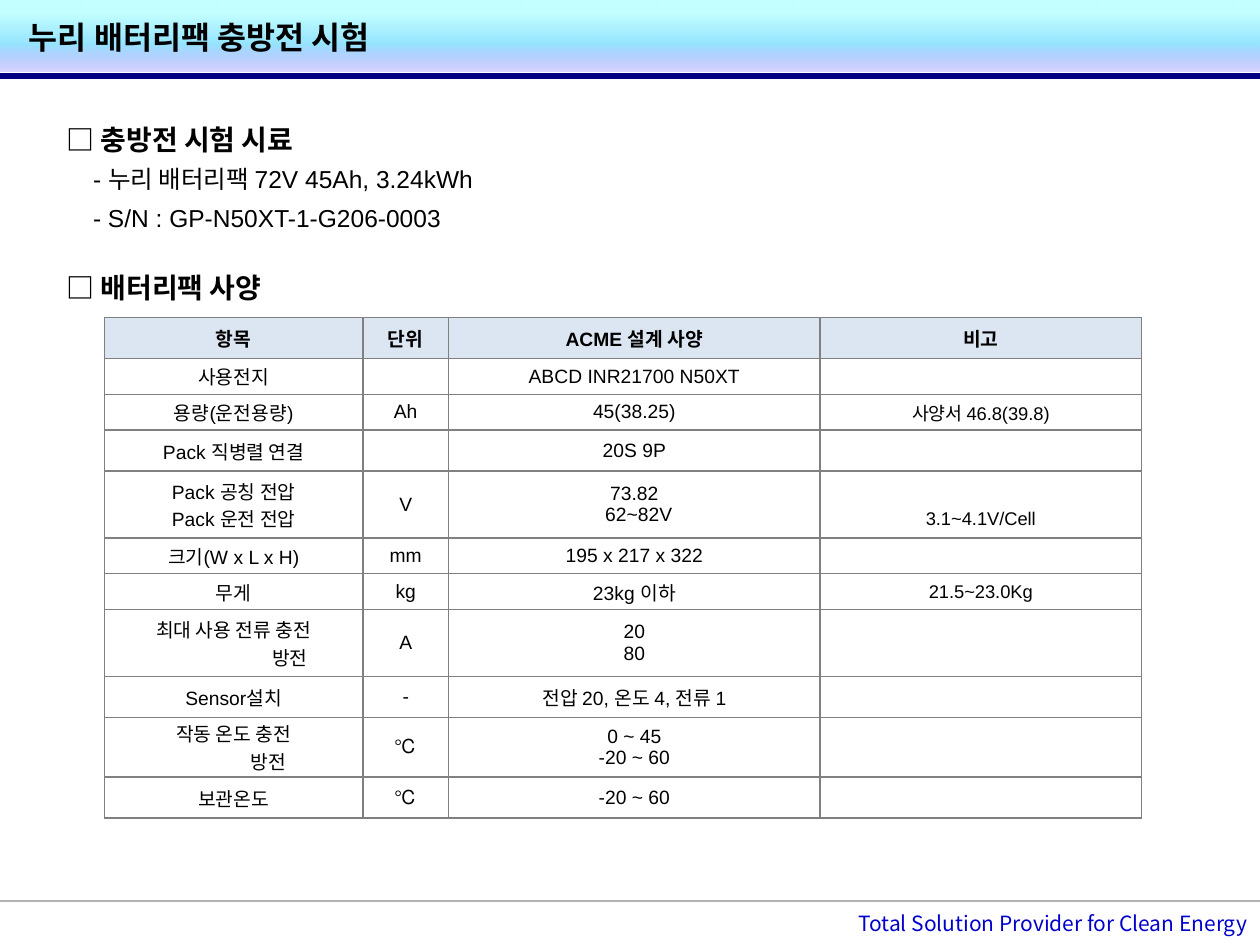
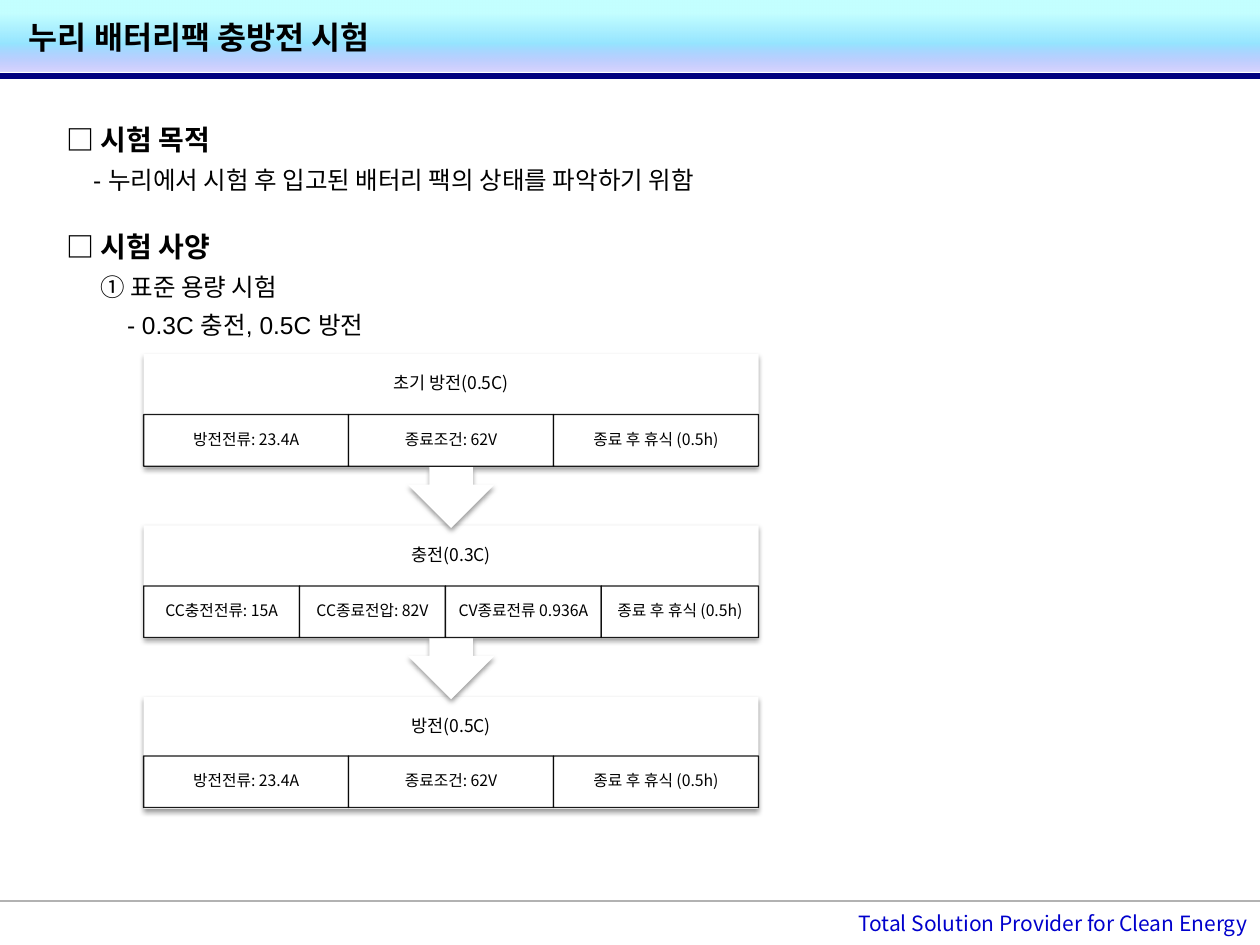
from dataclasses import dataclass
from itertools import accumulate

from lxml.etree import SubElement
from pptx import Presentation
from pptx.dml.color import RGBColor
from pptx.enum.shapes import MSO_CONNECTOR as Connector, MSO_SHAPE as Shape
from pptx.enum.text import MSO_ANCHOR as Anchor, PP_ALIGN as Align
from pptx.oxml import parse_xml
from pptx.oxml.ns import nsdecls, qn
from pptx.util import Emu, Pt

COLUMNS, ROWS = 100, 75
UNIT = 91440
KOREAN, LATIN = "Noto Sans CJK KR", "Arial"
BLACK, WHITE, NAVY, BLUE = "000000", "FFFFFF", "000080", "0000CC"
RULE_GRAY, BORDER_GRAY, HEADER_FILL = "B2B2B2", "808080", "DCE6F2"
BAND_STOPS = [(19, "91FFFF", 53), (61, "33CCFF", 51), (100, "3F30FC", 20)]
TITLE = "누리 배터리팩 충방전 시험"
SLOGAN = "Total Solution Provider for Clean Energy"

SPEC_COLUMNS = [20.5, 6.8, 29.5, 25.5]
SPEC_ROWS = [
    (3.25, ["항목", "단위", "ACME 설계 사양", "비고"]),
    (2.85, ["사용전지", "", "ABCD INR21700 N50XT", ""]),
    (2.85, ["용량(운전용량)", "Ah", "45(38.25)", "사양서 46.8(39.8)"]),
    (3.25, ["Pack 직병렬 연결", "", "20S 9P", ""]),
    (5.3, ["Pack 공칭 전압\nPack 운전 전압", "V", "73.82\n62~82V", "3.1~4.1V/Cell"]),
    (2.85, ["크기(W x L x H)", "mm", "195 x 217 x 322", ""]),
    (2.85, ["무게", "kg", "23kg 이하", "21.5~23.0Kg"]),
    (5.3, ["최대 사용 전류 충전\n방전", "A", "20\n80", ""]),
    (3.25, ["Sensor설치", "-", "전압 20, 온도 4, 전류 1", ""]),
    (4.75, ["작동 온도 충전\n방전", "℃", "0 ~ 45\n-20 ~ 60", ""]),
    (3.25, ["보관온도", "℃", "-20 ~ 60", ""]),
]
SECOND_LINE_INDENTS = {(4, 2): 0.7, (7, 0): 8.9, (9, 0): 5.5}
LOW_CELL = (4, 3)

DISCHARGE = ["방전전류: 23.4A", "종료조건: 62V", "종료 후 휴식 (0.5h)"]
CHARGE = ["CC충전전류: 15A", "CC종료전압: 82V", "CV종료전류 0.936A", "종료 후 휴식 (0.5h)"]
STEPS = [
    ("초기 방전(0.5C)", DISCHARGE, [1, 1, 1]),
    ("충전(0.3C)", CHARGE, [1.24, 1.16, 1.24, 1.25]),
    ("방전(0.5C)", DISCHARGE, [1, 1, 1]),
]
STEP_PITCH, STEP_HEIGHT, LAST_HEIGHT = 13.6, 13.8, 8.9
HEADING_HEIGHT, CELL_HEIGHT = 4.8, 4.1


@dataclass
class Box:
    left: float
    top: float
    width: float
    height: float

    def emu(self):
        return [grid(n) for n in (self.left, self.top, self.width, self.height)]

    def inner(self, left, top, width, height):
        return Box(self.left + left, self.top + top, width, height)


def grid(units):
    return Emu(round(units * UNIT))


def color(value):
    return RGBColor.from_string(value)


def style(para, size, font=LATIN, tint=BLACK, bold=False, align=None, spacing=None):
    para.alignment = align
    para.line_spacing = spacing
    for span in para.runs:
        span.font.size = Pt(size)
        span.font.bold = bold
        span.font.color.rgb = color(tint)
        span.font.name = font
        SubElement(span._r.get_or_add_rPr(), qn("a:ea"), typeface=KOREAN)


def indent(para, units):
    para._p.get_or_add_pPr().set("marL", str(grid(units)))


def set_margins(frame, side, end):
    frame.margin_left = frame.margin_right = grid(side)
    frame.margin_top = frame.margin_bottom = grid(end)


def add_text(page, box):
    frame = page.shapes.add_textbox(*box.emu()).text_frame
    frame.word_wrap = True
    return frame


def add_block(page, box, kind=Shape.RECTANGLE):
    block = page.shapes.add_shape(kind, *box.emu())
    block.shadow.inherit = False
    block.fill.solid()
    block.fill.fore_color.rgb = color(WHITE)
    block.line.fill.background()
    return block


def add_rule(page, row, tint, weight):
    rule = page.shapes.add_connector(
        Connector.STRAIGHT, 0, grid(row), grid(COLUMNS), grid(row))
    rule.line.color.rgb = color(tint)
    rule.line.width = Pt(weight)
    SubElement(rule.element.spPr, qn("a:effectLst"))


def add_band(page, box):
    band = add_block(page, box)
    stops = "".join(
        f'<a:gs pos="{place * 1000}"><a:srgbClr val="{tint}">'
        f'<a:alpha val="{alpha * 1000}"/></a:srgbClr></a:gs>'
        for place, tint, alpha in BAND_STOPS)
    gradient = parse_xml(
        f'<a:gradFill {nsdecls("a")} rotWithShape="1"><a:gsLst>{stops}</a:gsLst>'
        '<a:lin ang="5400000" scaled="1"/></a:gradFill>')
    properties = band.element.spPr
    properties.replace(properties.find(qn("a:solidFill")), gradient)


def add_page(deck):
    page = deck.slides.add_slide(deck.slide_layouts[5])
    add_rule(page, 71.5, RULE_GRAY, 1.5)
    add_rule(page, 6, NAVY, 3.5)
    add_band(page, Box(0, 0, COLUMNS, 5.7))
    slogan = add_text(page, Box(41.2, 71.8, 58.8, 3))
    slogan.text = SLOGAN
    style(slogan.paragraphs[0], 12, KOREAN, BLUE, align=Align.RIGHT)
    title = page.shapes.title
    title.left, title.top, title.width, title.height = Box(1.3, 0.5, 84.1, 4.8).emu()
    title.text_frame.text = TITLE
    title.text_frame.vertical_anchor = Anchor.MIDDLE
    style(title.text_frame.paragraphs[0], 18, KOREAN, bold=True, align=Align.LEFT)
    title.element.getparent().append(title.element)
    return page


def add_section(page, box, heading, details=()):
    frame = add_text(page, box)
    frame.text = "\n".join([heading] + [text for text, _ in details])
    first, *others = frame.paragraphs
    style(first, 16, bold=True, spacing=1.3)
    for para, (_, units) in zip(others, details):
        style(para, 14, spacing=1.3)
        indent(para, units)


def add_borders(cell):
    properties = cell._tc.get_or_add_tcPr()
    for side in ("lnL", "lnR", "lnT", "lnB"):
        line = SubElement(properties, qn(f"a:{side}"), w=str(Pt(1)))
        fill = SubElement(line, qn("a:solidFill"))
        SubElement(fill, qn("a:srgbClr"), val=BORDER_GRAY)


def fill_cell(cell, text, row, column):
    add_borders(cell)
    header = row == 0
    if header:
        cell.fill.solid()
        cell.fill.fore_color.rgb = color(HEADER_FILL)
    else:
        cell.fill.background()
    set_margins(cell, 0.5, 0.1)
    cell.vertical_anchor = Anchor.MIDDLE
    cell.text_frame.text = text
    size = 10.5 if column == 3 and not header else 11
    for para in cell.text_frame.paragraphs:
        style(para, size, bold=header, align=Align.CENTER)
        if not text:
            SubElement(para._p, qn("a:endParaRPr"), sz=str(int(size * 100)))
    if (row, column) in SECOND_LINE_INDENTS:
        indent(cell.text_frame.paragraphs[1], SECOND_LINE_INDENTS[row, column])
    if (row, column) == LOW_CELL:
        cell.vertical_anchor = Anchor.BOTTOM
        cell.margin_bottom = grid(0.7)


def add_spec_table(page, box):
    table = page.shapes.add_table(
        len(SPEC_ROWS), len(SPEC_COLUMNS), *box.emu()).table
    table.first_row = table.horz_banding = False
    for column, width in zip(table.columns, SPEC_COLUMNS):
        column.width = grid(width)
    for row, (height, texts) in enumerate(SPEC_ROWS):
        table.rows[row].height = grid(height)
        for column, text in enumerate(texts):
            fill_cell(table.cell(row, column), text, row, column)


def add_soft_shadow(block):
    effects = block.element.spPr.find(qn("a:effectLst"))
    shadow = SubElement(effects, qn("a:outerShdw"), blurRad=str(Pt(3.1)),
                        dist=str(Pt(1.6)), dir="5400000", rotWithShape="0")
    tint = SubElement(shadow, qn("a:srgbClr"), val=BLACK)
    SubElement(tint, qn("a:alpha"), val="38000")


def center_text(frame, text, size):
    frame.text = text
    frame.word_wrap = True
    frame.vertical_anchor = Anchor.MIDDLE
    style(frame.paragraphs[0], size, KOREAN, align=Align.CENTER, spacing=0.9)


def add_step_cell(page, box, text):
    cell = add_block(page, box)
    cell.line.color.rgb = color(BLACK)
    cell.line.width = Pt(0.75)
    for tint in cell.element.spPr.iter(qn("a:srgbClr")):
        SubElement(tint, qn("a:alpha"), val="90000")
    set_margins(cell.text_frame, 0.7, 0.1)
    center_text(cell.text_frame, text, 9)


def add_step(page, box, heading, texts, shares, last):
    block = add_block(page, box, Shape.RECTANGLE if last else Shape.UP_ARROW_CALLOUT)
    block.rotation = 0 if last else 180
    add_soft_shadow(block)
    frame = add_text(page, box.inner(0, 0, box.width, HEADING_HEIGHT))
    set_margins(frame, 0.8, 0.8)
    center_text(frame, heading, 10)
    widths = [box.width * share / sum(shares) for share in shares]
    top = HEADING_HEIGHT - (0.1 if last else 0)
    for text, width, right in zip(texts, widths, accumulate(widths)):
        add_step_cell(page, box.inner(right - width, top, width, CELL_HEIGHT), text)


def add_flow(page, box):
    for index, step in reversed(list(enumerate(STEPS))):
        last = index == len(STEPS) - 1
        height = LAST_HEIGHT if last else STEP_HEIGHT
        add_step(page, box.inner(0, index * STEP_PITCH, box.width, height), *step, last)


def add_sample_page(deck):
    page = add_page(deck)
    add_section(page, Box(4.3, 20.2, 37.8, 4.1), "□ 배터리팩 사양")
    add_spec_table(page, Box(8.3, 25.2, 82.3, 39.8))
    add_section(page, Box(4.3, 8.4, 92.1, 10.3), "□ 충방전 시험 시료", [
        ("- 누리 배터리팩 72V 45Ah, 3.24kWh", 2.1),
        ("- S/N : GP-N50XT-1-G206-0003", 2.1)])


def add_test_page(deck):
    page = add_page(deck)
    add_section(page, Box(4.3, 8.4, 92.1, 7.2), "□ 시험 목적", [
        ("- 누리에서 시험 후 입고된 배터리 팩의 상태를 파악하기 위함", 2.1)])
    add_section(page, Box(4.3, 16.9, 37.8, 10.3), "□ 시험 사양", [
        ("① 표준 용량 시험", 2.7),
        ("- 0.3C 충전, 0.5C 방전", 4.8)])
    add_flow(page, Box(11.4, 28.1, 48.8, 36.1))


def main():
    deck = Presentation()
    deck.slide_width, deck.slide_height = grid(COLUMNS), grid(ROWS)
    add_sample_page(deck)
    add_test_page(deck)
    deck.save("out.pptx")


if __name__ == "__main__":
    main()
